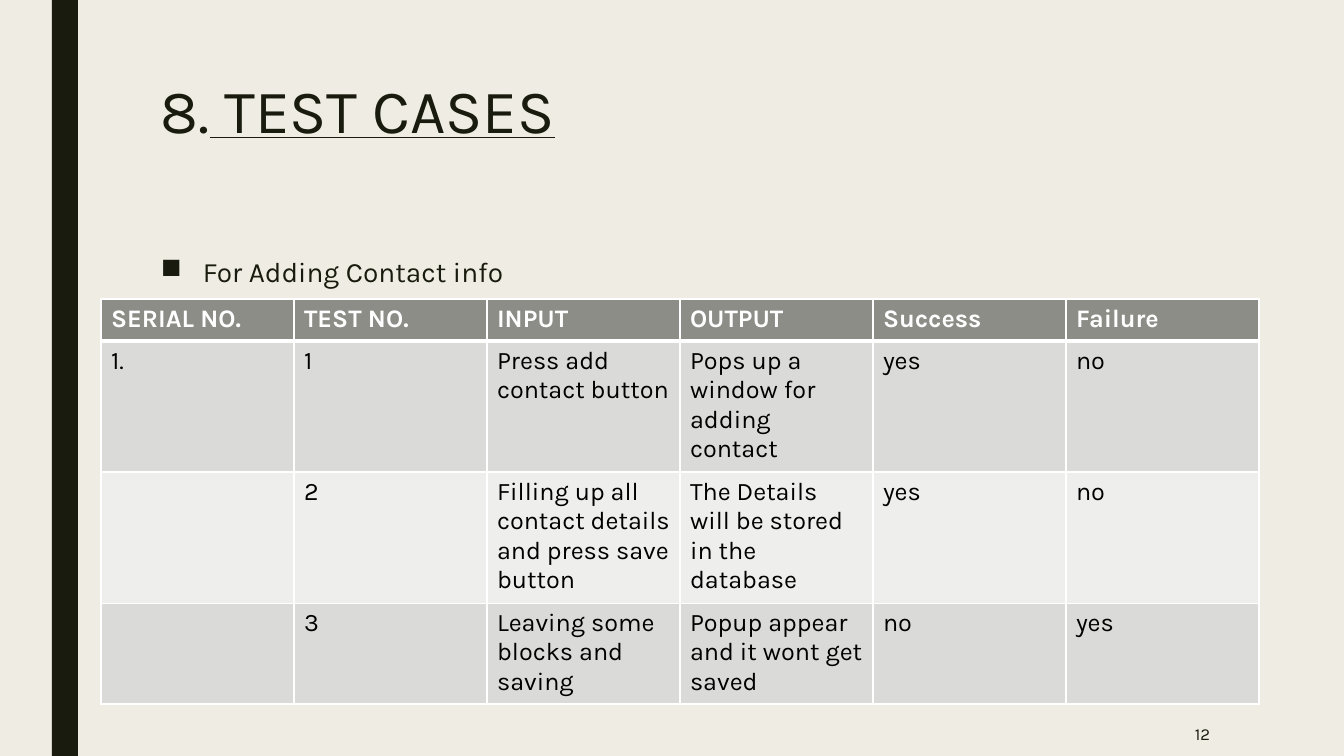
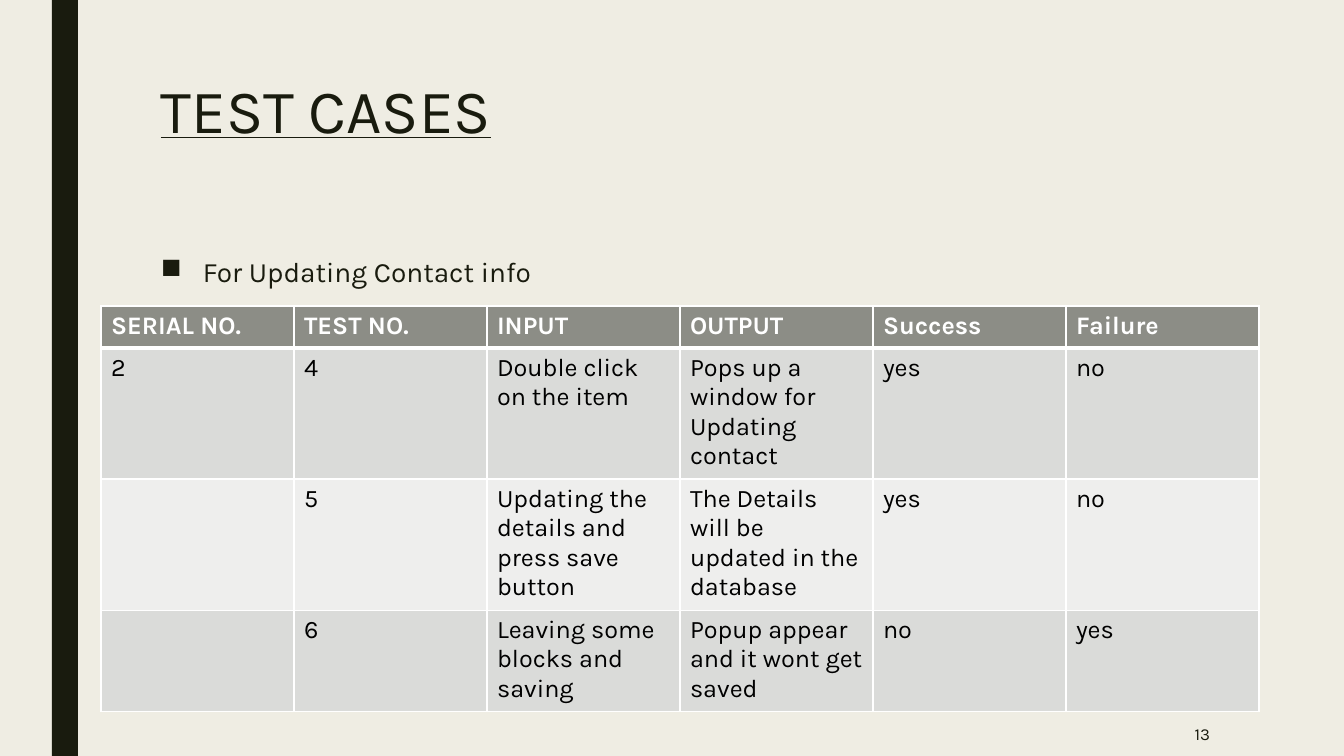
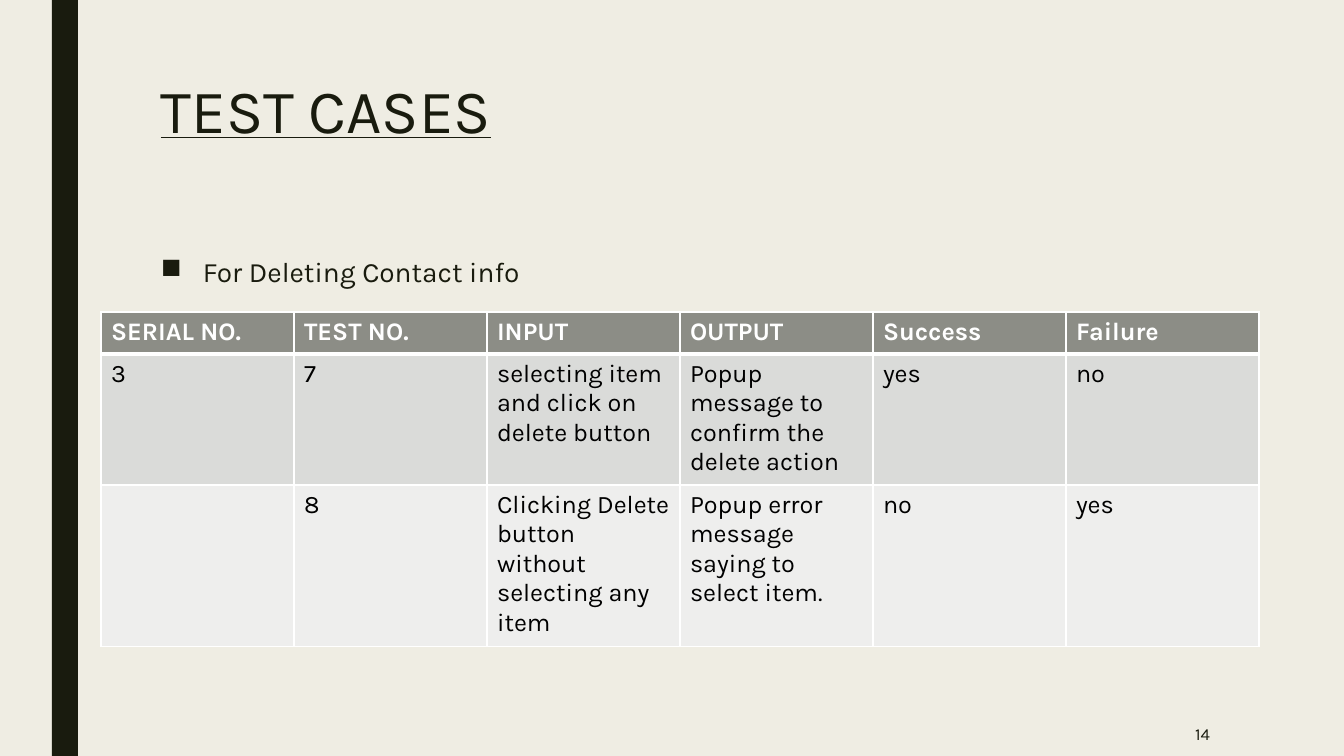
from lxml import etree
from pptx import Presentation
from pptx.dml.color import RGBColor
from pptx.enum.shapes import MSO_SHAPE
from pptx.enum.text import MSO_ANCHOR, PP_ALIGN
from pptx.oxml import parse_xml
from pptx.oxml.ns import nsdecls, qn
from pptx.util import Emu, Pt

# Shared style
FONT = "Karla"
INK, PAPER, WHITE, BLACK = "191B0E", "EFEDE3", "FFFFFF", "000000"
HEADER_FILL = "8C8D86"
BAND_FILLS = ["DADBD9", "EEEEED"]
HEADINGS = ["SERIAL NO.", "TEST NO.", "INPUT", "OUTPUT", "Success", "Failure"]
COLUMN_WIDTH, HEADER_HEIGHT = 193, 42
TABLE_LEFT = 101
EMU_PER_PIXEL = 914400 / 100.8


def px(*lengths):
    return [Emu(round(length * EMU_PER_PIXEL)) for length in lengths]


def add_span(para, text, size, color=INK, bold=False, underline=False):
    span = para.add_run()
    span.text = text
    span.font.name = FONT
    span.font.size = Pt(size)
    span.font.color.rgb = RGBColor.from_string(color)
    span.font.bold = bold
    span.font.underline = underline


# Content: title spans (text, underlined), bullet, table top, row heights, rows
PAGES = [
    ([("8.", False), (" TEST CASES", True)], "For Adding Contact info", 299, [128, 128, 99], [
        ["1.", "1", "Press add contact button",
         "Pops up a window for adding contact", "yes", "no"],
        ["", "2", "Filling up all contact details and press save button",
         "The Details will be stored in the database", "yes", "no"],
        ["", "3", "Leaving some blocks and saving",
         "Popup appear and it wont get saved", "no", "yes"],
    ]),
    ([("TEST CASES", True)], "For Updating Contact info", 306, [128, 128, 101], [
        ["2", "4", "Double click on the item",
         "Pops up a window for Updating contact", "yes", "no"],
        ["", "5", "Updating the details and press save button",
         "The Details will be updated in the database", "yes", "no"],
        ["", "6", "Leaving some blocks and saving",
         "Popup appear and it wont get saved", "no", "yes"],
    ]),
    ([("TEST CASES", True)], "For Deleting Contact info", 312, [128, 128], [
        ["3", "7", "selecting item and click on delete button",
         "Popup message to confirm the delete action", "yes", "no"],
        ["", "8", "Clicking Delete button without selecting any item",
         "Popup error message saying to select item.", "no", "yes"],
    ]),
]

deck = Presentation()
deck.slide_width, deck.slide_height = px(1344, 756)
background = deck.slide_master.background.fill
background.solid()
background.fore_color.rgb = RGBColor.from_string(PAPER)

for page_number, (title, bullet, table_top, heights, rows) in enumerate(PAGES, start=12):
    page = deck.slides.add_slide(deck.slide_layouts[6])

    # Side band
    band = page.shapes.add_shape(MSO_SHAPE.RECTANGLE, *px(52, 0, 26, 756))
    band.shadow.inherit = False
    band.fill.solid()
    band.fill.fore_color.rgb = RGBColor.from_string(INK)
    band.line.fill.background()

    # Title
    title_box = page.shapes.add_textbox(*px(151, 76, 1058, 163))
    title_box.text_frame.word_wrap = True
    para = title_box.text_frame.paragraphs[0]
    para.line_spacing = 0.89
    for text, underlined in title:
        add_span(para, text, 44, underline=underlined)

    # Bullet line
    body_box = page.shapes.add_textbox(*px(151, 252, 1058, 395))
    body_box.text_frame.word_wrap = True
    para = body_box.text_frame.paragraphs[0]
    para.line_spacing = 0.94
    para.space_before, para.space_after = Pt(10), Pt(2)
    properties = para._p.get_or_add_pPr()
    indent = px(42)[0]
    properties.set("marL", str(indent))
    properties.set("indent", str(-indent))
    etree.SubElement(properties, qn("a:buChar")).set("char", "■")
    add_span(para, bullet, 20)

    # Page number
    number_box = page.shapes.add_textbox(*px(1044, 712, 176, 44))
    number_box.text_frame.word_wrap = True
    number_box.text_frame.vertical_anchor = MSO_ANCHOR.MIDDLE
    para = number_box.text_frame.paragraphs[0]
    para.alignment = PP_ALIGN.RIGHT
    add_span(para, str(page_number), 12)

    # Test case table
    row_heights = [HEADER_HEIGHT] + heights
    table = page.shapes.add_table(
        len(row_heights), len(HEADINGS),
        *px(TABLE_LEFT, table_top, COLUMN_WIDTH * len(HEADINGS), sum(row_heights))).table
    for column in table.columns:
        column.width = px(COLUMN_WIDTH)[0]
    for row_index, texts in enumerate([HEADINGS] + rows):
        is_header = row_index == 0
        table.rows[row_index].height = px(row_heights[row_index])[0]
        for column_index, text in enumerate(texts):
            cell = table.cell(row_index, column_index)
            cell.fill.solid()
            cell.fill.fore_color.rgb = RGBColor.from_string(
                HEADER_FILL if is_header else BAND_FILLS[(row_index - 1) % 2])
            if text:
                add_span(cell.text_frame.paragraphs[0], text, 18,
                         WHITE if is_header else BLACK, bold=is_header)

            # The rule between header and first row is thicker
            widths = {"L": 1, "R": 1, "T": 3 if row_index == 1 else 1, "B": 3 if is_header else 1}
            for position, (side, width) in enumerate(widths.items()):
                border = parse_xml(
                    f'<a:ln{side} {nsdecls("a")} w="{Pt(width)}"><a:solidFill>'
                    f'<a:srgbClr val="{WHITE}"/></a:solidFill></a:ln{side}>')
                cell._tc.get_or_add_tcPr().insert(position, border)

deck.save("out.pptx")
